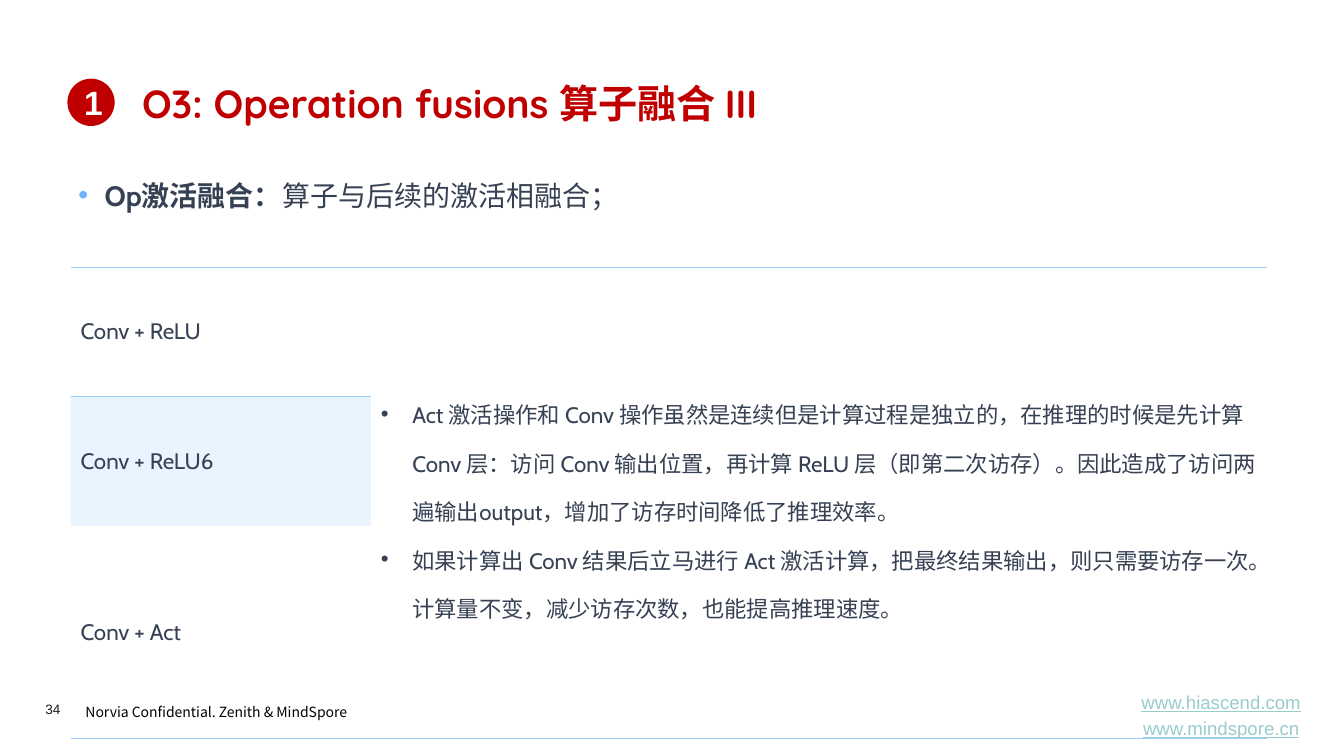
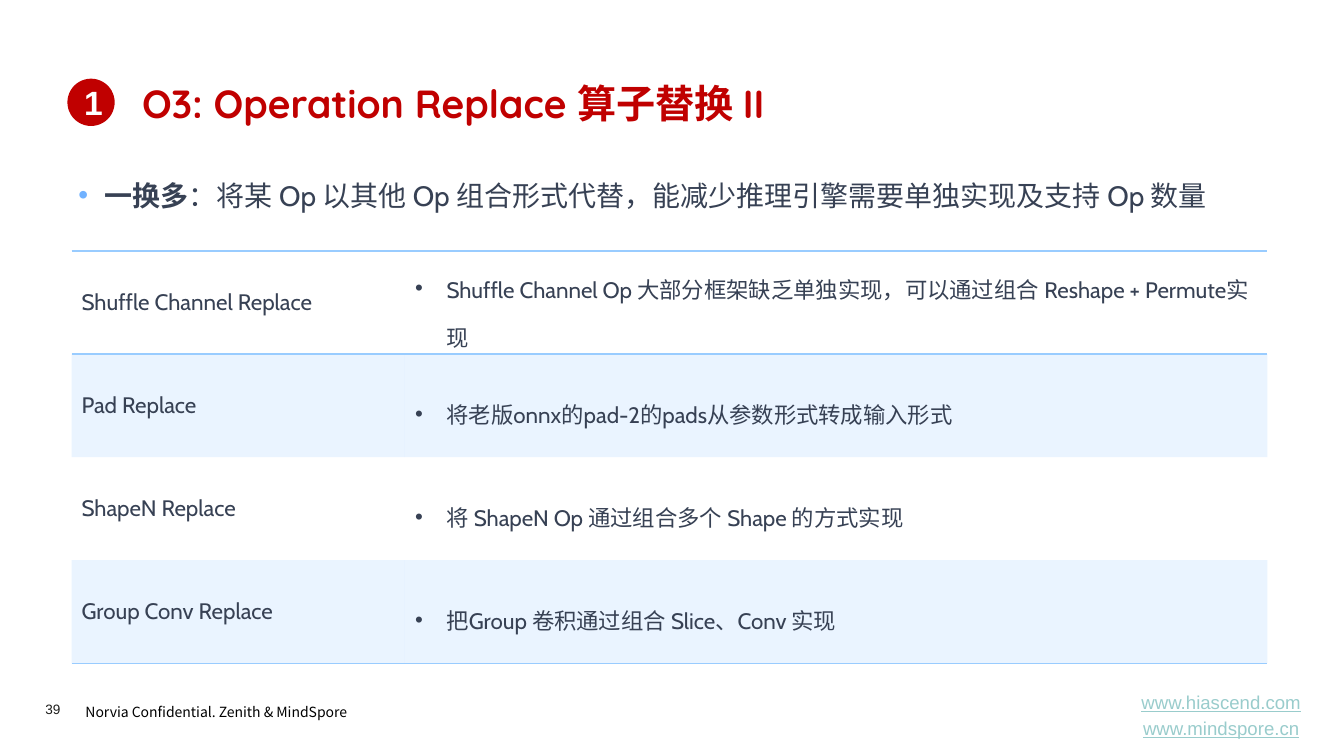
from dataclasses import dataclass

from lxml import etree
from pptx import Presentation
from pptx.dml.color import RGBColor
from pptx.enum import shapes, text
from pptx.oxml import ns
from pptx.util import Pt


@dataclass(frozen=True)
class Theme:
    red: str = "C00000"
    ink: str = "374154"
    sky: str = "99CCFF"
    bullet: str = "71B2FF"
    link: str = "99CCCC"
    number: str = "1D1D1B"
    black: str = "000000"
    white: str = "FFFFFF"
    band_alpha: int = 20000
    heading: str = "Quicksand"
    body: str = "Cabin"
    plain: str = "Arial"
    chinese: str = "Noto Sans CJK SC"
    title_size: float = 28
    badge_size: float = 24
    lead_size: float = 20
    table_size: float = 16
    link_size: float = 13.3
    footer_size: float = 10
    number_size: float = 9.7


THEME = Theme()
PAGE_SIZE = (960.5, 540)
TITLE_BOX = (94.3, 53.3, 818, 46)
BADGE_BOX = (48.2, 56.2, 33.8, 33.8)
LEAD_BOX = (49, 111.6, 863.3, 46)
FOOTER_BOX = (54, 496.8, 225.4, 20.9)
NUMBER_BOX = (32.4, 501, 39.6, 11.5)
LINKS_BOX = (795, 495.4, 155.5, 31)
PLAIN_TABLE_STYLE = "{2D5ABB26-0587-4C30-8999-92F81FD0307C}"


def points(box):
    return [Pt(length) for length in box]


def add_xml(parent, tag, **attributes):
    return etree.SubElement(parent, ns.qn(tag), attributes)


def add_span(para, words, size, color, font=THEME.body, bold=False, underline=False):
    span = para.add_run()
    span.text = words
    span.font.size = Pt(size)
    span.font.bold = bold
    span.font.underline = underline
    span.font.color.rgb = RGBColor.from_string(color)
    span.font.name = font
    add_xml(span.font._element, "a:ea", typeface=THEME.chinese)


def add_bullet(para, indent, color):
    props = para._p.get_or_add_pPr()
    props.set("marL", str(Pt(indent)))
    props.set("indent", str(-Pt(indent)))
    add_xml(add_xml(props, "a:buClr"), "a:srgbClr", val=color)
    add_xml(props, "a:buFont", typeface=THEME.plain)
    add_xml(props, "a:buChar", char="•")
    para.line_spacing = 1.5


def add_text_frame(page, box):
    frame = page.shapes.add_textbox(*points(box)).text_frame
    frame.word_wrap = True
    return frame


def add_heading(page, box, words):
    title = page.shapes.title
    title.left, title.top, title.width, title.height = points(box)
    frame = title.text_frame
    frame.vertical_anchor = text.MSO_ANCHOR.TOP
    frame.auto_size = text.MSO_AUTO_SIZE.NONE
    para = frame.paragraphs[0]
    para.alignment = text.PP_ALIGN.LEFT
    add_span(para, words, THEME.title_size, THEME.red, THEME.heading, bold=True)


def add_badge(page, box, words):
    badge = page.shapes.add_shape(shapes.MSO_SHAPE.OVAL, *points(box))
    badge.shadow.inherit = False
    badge.fill.solid()
    badge.fill.fore_color.rgb = RGBColor.from_string(THEME.red)
    badge.line.fill.background()
    badge.text_frame.vertical_anchor = text.MSO_ANCHOR.MIDDLE
    para = badge.text_frame.paragraphs[0]
    para.alignment = text.PP_ALIGN.CENTER
    add_span(para, words, THEME.badge_size, THEME.white, THEME.plain, bold=True)


def add_lead(page, box, term, explanation):
    para = add_text_frame(page, box).paragraphs[0]
    add_bullet(para, 18.7, THEME.bullet)
    add_span(para, term, THEME.lead_size, THEME.ink, bold=True)
    add_span(para, explanation, THEME.lead_size, THEME.ink)


def add_footer(page, number):
    # Confidentiality note
    para = add_text_frame(page, FOOTER_BOX).paragraphs[0]
    para.line_spacing = 1.2
    add_span(para, "Norvia Confidential. Zenith & MindSpore",
             THEME.footer_size, THEME.black, THEME.chinese)

    # Page number
    frame = add_text_frame(page, NUMBER_BOX)
    frame.margin_left = frame.margin_right = frame.margin_top = frame.margin_bottom = 0
    add_span(frame.paragraphs[0], number, THEME.number_size, THEME.number, THEME.plain)

    # Web addresses
    frame = add_text_frame(page, LINKS_BOX)
    frame.vertical_anchor = text.MSO_ANCHOR.MIDDLE
    for index, address in enumerate(("www.hiascend.com", "www.mindspore.cn")):
        para = frame.add_paragraph() if index else frame.paragraphs[0]
        para.alignment = text.PP_ALIGN.CENTER
        if index:
            para.space_before = Pt(2.7)
        add_span(para, address, THEME.link_size, THEME.link, THEME.plain, underline=True)


def add_border(cell, edge):
    line = add_xml(cell._tc.get_or_add_tcPr(), edge, w=str(Pt(1)))
    add_xml(add_xml(line, "a:solidFill"), "a:srgbClr", val=THEME.sky)


def style_cell(cell, row, last_row):
    cell.vertical_anchor = text.MSO_ANCHOR.MIDDLE
    if row == 0:
        add_border(cell, "a:lnT")
    if row in (0, last_row):
        add_border(cell, "a:lnB")
    if row % 2 and not cell.is_spanned:
        cell.fill.solid()
        cell.fill.fore_color.rgb = RGBColor.from_string(THEME.sky)
        for color in cell._tc.tcPr.findall(ns.qn("a:solidFill") + "/" + ns.qn("a:srgbClr")):
            add_xml(color, "a:alpha", val=str(THEME.band_alpha))
    else:
        cell.fill.background()


def add_operator_table(page, corner, widths, heights, names, notes):
    """Names fill the first column; a single group of notes spans all rows."""
    box = (*corner, sum(widths), sum(heights))
    frame = page.shapes.add_table(len(names), len(widths), *points(box))
    table = frame.table
    table.first_row = table.horz_banding = False
    table._tbl.tblPr.find(ns.qn("a:tableStyleId")).text = PLAIN_TABLE_STYLE
    for column, width in zip(table.columns, widths):
        column.width = Pt(width)
    for row, height in zip(table.rows, heights):
        row.height = Pt(height)
    if len(notes) == 1:
        table.cell(0, 1).merge(table.cell(len(names) - 1, 1))

    for row, name in enumerate(names):
        for column in range(len(widths)):
            style_cell(table.cell(row, column), row, len(names) - 1)
        add_span(table.cell(row, 0).text_frame.paragraphs[0], name,
                 THEME.table_size, THEME.ink)
    for row, group in enumerate(notes):
        body = table.cell(row, 1).text_frame
        for index, note in enumerate(group):
            para = body.add_paragraph() if index else body.paragraphs[0]
            add_bullet(para, 22.5, THEME.ink)
            add_span(para, note, THEME.table_size, THEME.ink)


def add_operator_page(deck, number, title, lead, table):
    page = deck.slides.add_slide(deck.slide_layouts.get_by_name("Title Only"))
    add_footer(page, number)
    add_lead(page, LEAD_BOX, *lead)
    add_operator_table(page, **table)
    add_heading(page, TITLE_BOX, title)
    add_badge(page, BADGE_BOX, "1")


def main():
    deck = Presentation()
    deck.slide_width, deck.slide_height = points(PAGE_SIZE)

    # Operator fusion
    add_operator_page(
        deck, "34", "O3: Operation fusions 算子融合 III",
        ("Op激活融合：", "算子与后续的激活相融合；"),
        dict(
            corner=(50.4, 190.8), widths=(214.6, 640.4), heights=(92.4, 92.4, 152),
            names=("Conv + ReLU", "Conv + ReLU6", "Conv + Act"),
            notes=[(
                "Act 激活操作和 Conv 操作虽然是连续但是计算过程是独立的，在推理的时候是先计算"
                " Conv 层：访问 Conv 输出位置，再计算 ReLU 层（即第二次访存）。"
                "因此造成了访问两遍输出output，增加了访存时间降低了推理效率。",
                "如果计算出 Conv 结果后立马进行 Act 激活计算，把最终结果输出，则只需要访存一次。"
                "计算量不变，减少访存次数，也能提高推理速度。",
            )],
        ),
    )

    # Operator replacement
    add_operator_page(
        deck, "39", "O3: Operation Replace 算子替换 II",
        ("一换多", "：将某 Op 以其他 Op 组合形式代替，能减少推理引擎需要单独实现及支持 Op 数量"),
        dict(
            corner=(51.1, 179.3), widths=(238.3, 616.3), heights=(73.6,) * 4,
            names=("Shuffle Channel Replace", "Pad Replace", "ShapeN Replace",
                   "Group Conv Replace"),
            notes=[
                ("Shuffle Channel Op 大部分框架缺乏单独实现，可以通过组合 Reshape + Permute实现",),
                ("将老版onnx的pad-2的pads从参数形式转成输入形式",),
                ("将 ShapeN Op 通过组合多个 Shape 的方式实现",),
                ("把Group 卷积通过组合 Slice、Conv 实现",),
            ],
        ),
    )
    deck.save("out.pptx")


if __name__ == "__main__":
    main()
